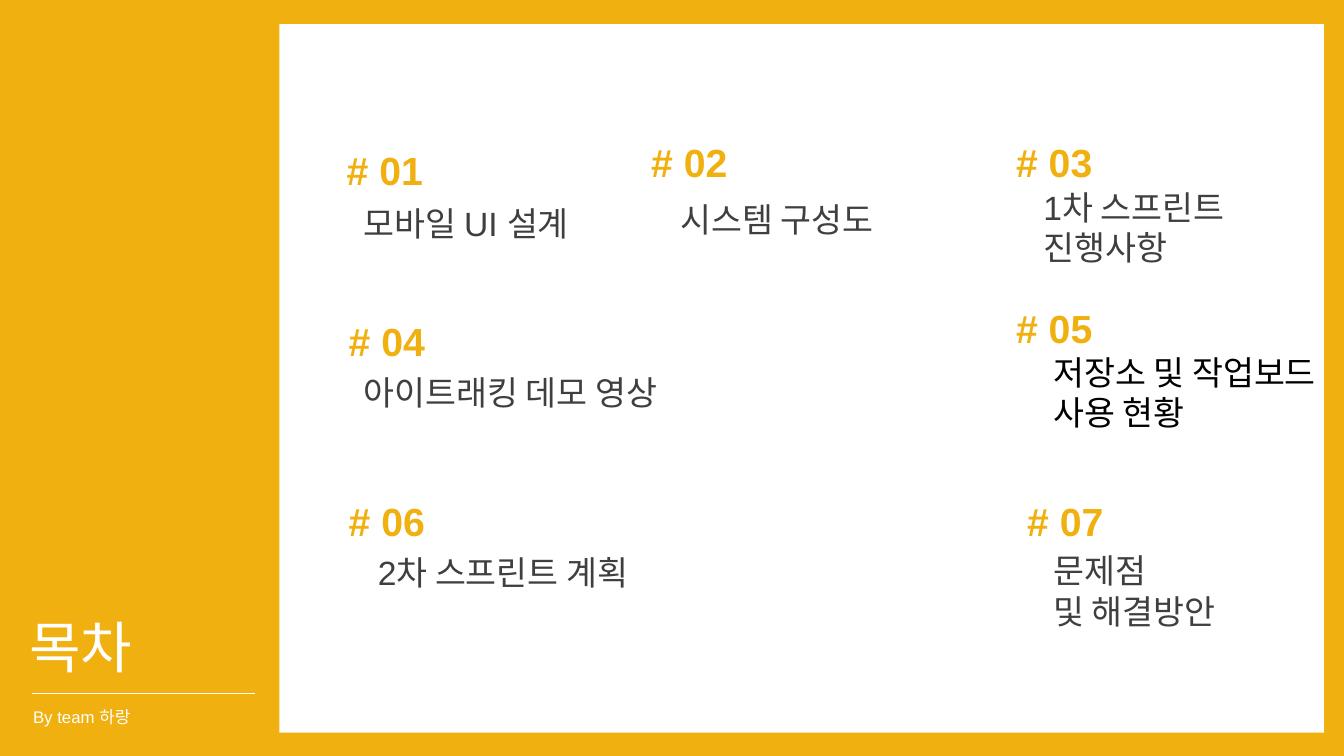
from pptx import Presentation
from pptx import util as u
from pptx.dml.color import RGBColor
from pptx.enum import shapes, text
from pptx.oxml.ns import qn
from lxml import etree

YELLOW, WHITE, GRAY, BLACK = "F0B010", "FFFFFF", "3F3F3F", "000000"

TITLE = ("목차", (0.19, 6.03, 1.49, 0.77))
BYLINE = ("By team 하랑", (0.23, 6.96, 1.4, 0.3))
PANEL = (2.77, 0.24, 10.36, 7.03)
RULE = (0.32, 6.88, 2.53, 6.88)

# number position, label lines, label position, label width, label color
TOPICS = [
    ((3.34, 1.40), ["모바일 UI 설계"], (3.51, 1.96), 2.52, GRAY),
    ((6.36, 1.32), ["시스템 구성도"], (6.65, 1.92), 2.52, GRAY),
    ((9.98, 1.32), ["1차 스프린트 진행사항"], (10.25, 1.80), 2.52, GRAY),
    ((3.36, 3.10), ["아이트래킹 데모 영상"], (3.51, 3.64), 3.63, GRAY),
    ((9.98, 2.97), ["저장소 및 작업보드 사용 현황"], (10.35, 3.44), 2.87, BLACK),
    ((3.36, 4.88), ["2차 스프린트 계획"], (3.65, 5.43), 3.12, GRAY),
    ((10.09, 4.88), ["문제점", "및 해결방안"], (10.35, 5.41), 2.87, GRAY),
]
NUMBER_SIZE = (1.14, 0.57)
LINE_HEIGHT = 0.41


def color(value):
    return RGBColor.from_string(value)


def inches(values):
    return [u.Inches(value) for value in values]


def write(shape, lines, size, hex_color, bold=False):
    frame = shape.text_frame
    frame.text = "\n".join(lines)
    frame_format = {
        "word_wrap": True,
        "auto_size": text.MSO_AUTO_SIZE.NONE,
        "vertical_anchor": text.MSO_ANCHOR.TOP,
    }
    for name, value in frame_format.items():
        setattr(frame, name, value)
    font_format = {"name": "Arial", "size": u.Pt(size), "bold": bold}
    for paragraph in frame.paragraphs:
        paragraph.alignment = text.PP_ALIGN.LEFT
        for run in paragraph.runs:
            for name, value in font_format.items():
                setattr(run.font, name, value)
            run.font.color.rgb = color(hex_color)


def add_text(slide, box, lines, size, hex_color, bold=False):
    write(slide.shapes.add_textbox(*inches(box)), lines, size, hex_color, bold)


def add_sidebar(slide):
    title_text, box = TITLE
    title = slide.shapes.title
    for name, value in zip(("left", "top", "width", "height"), inches(box)):
        setattr(title, name, value)
    write(title, [title_text], 40, WHITE)

    rule = slide.shapes.add_connector(shapes.MSO_CONNECTOR.STRAIGHT, *inches(RULE))
    rule.line.color.rgb = color(WHITE)
    rule.line.width = u.Pt(1.25)
    etree.SubElement(rule._element.spPr, qn("a:effectLst"))

    byline, box = BYLINE
    add_text(slide, box, [byline], 12, WHITE)


def add_panel(slide):
    panel = slide.shapes.add_shape(shapes.MSO_SHAPE.RECTANGLE, *inches(PANEL))
    panel.shadow.inherit = False
    panel.fill.solid()
    panel.fill.fore_color.rgb = color(WHITE)
    panel.line.fill.background()


def add_topics(slide):
    for index, (number_at, lines, label_at, width, hex_color) in enumerate(TOPICS, 1):
        add_text(slide, number_at + NUMBER_SIZE, [f"# {index:02d}"], 28, YELLOW, True)
        height = 0.1 + 2 * LINE_HEIGHT
        add_text(slide, label_at + (width, height), lines, 24, hex_color)


def main():
    presentation = Presentation()
    presentation.slide_width = u.Inches(13.33)
    presentation.slide_height = u.Inches(7.5)
    slide = presentation.slides.add_slide(presentation.slide_layouts[5])
    slide.background.fill.solid()
    slide.background.fill.fore_color.rgb = color(YELLOW)
    add_panel(slide)
    add_sidebar(slide)
    add_topics(slide)
    presentation.save("out.pptx")


if __name__ == "__main__":
    main()
